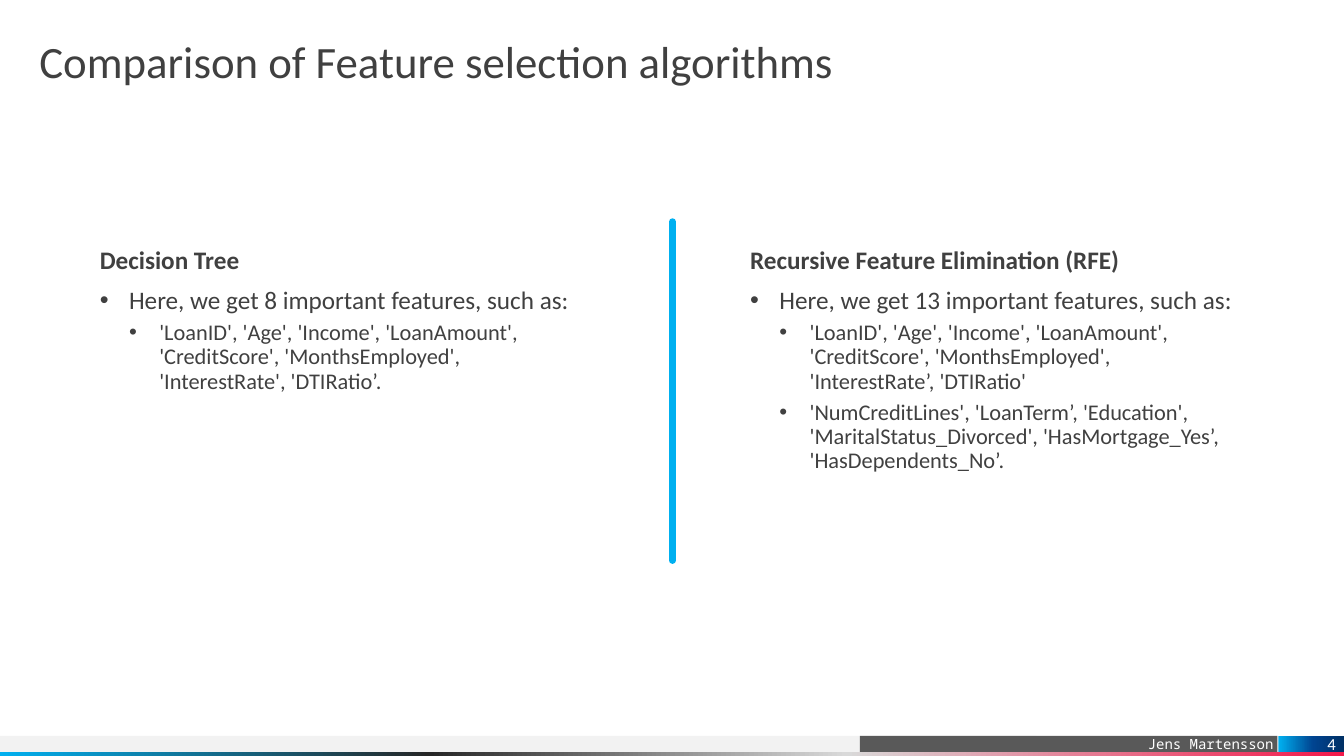
from lxml import etree
from pptx import Presentation
from pptx.dml.color import RGBColor
from pptx.enum import shapes, text
from pptx.oxml import ns
from pptx.util import Inches, Pt

WHITE = RGBColor(0xFF, 0xFF, 0xFF)
INK = RGBColor(0x40, 0x40, 0x40)
PALE = RGBColor(0xF2, 0xF2, 0xF2)
GREY = RGBColor(0x59, 0x59, 0x59)
SILVER = RGBColor(0xD9, 0xD9, 0xD9)
CHARCOAL = RGBColor(0x26, 0x26, 0x26)
PINK = RGBColor(0xF2, 0x19, 0x4A)
SKY = RGBColor(0x00, 0xB0, 0xF0)
BLUE = RGBColor(0x00, 0x44, 0x90)
NAVY = RGBColor(0x00, 0x30, 0x65)

deck = Presentation()
deck.slide_width, deck.slide_height = Inches(13.33), Inches(7.5)
page = deck.slides.add_slide(deck.slide_layouts[6])


def add_bar(left, top, width, height, *stops):
    """Add a footer bar with one colour, or a left-to-right gradient of (percent, colour) stops."""
    bar = page.shapes.add_shape(shapes.MSO_SHAPE.RECTANGLE, Inches(left), Inches(top),
                                Inches(width), Inches(height))
    bar.shadow.inherit = False
    bar.line.fill.background()
    if len(stops) == 1:
        bar.fill.solid()
        bar.fill.fore_color.rgb = stops[0]
        return bar
    bar.fill.gradient()
    bar.fill.gradient_angle = 0
    stop_list = bar.element.spPr.find(".//" + ns.qn("a:gsLst"))
    for stop in list(stop_list):
        stop_list.remove(stop)
    for percent, colour in stops:
        stop = etree.SubElement(stop_list, ns.qn("a:gs"), pos=str(percent * 1000))
        etree.SubElement(stop, ns.qn("a:srgbClr"), val=str(colour))
    return bar


def add_text(left, top, width, height, lines, size, bold=False, bulleted=False):
    """Add a text box; the first bulleted line is the main point, the rest sit one level below."""
    box = page.shapes.add_textbox(Inches(left), Inches(top), Inches(width), Inches(height))
    frame = box.text_frame
    frame.word_wrap = True
    frame.margin_left = frame.margin_top = frame.margin_right = frame.margin_bottom = 0
    frame.text = "\n".join(lines)
    for index, para in enumerate(frame.paragraphs):
        sub = index > 0
        para.line_spacing = 0.9
        para.space_before = Pt(5 if sub else 10)
        if bulleted:
            para.level = int(sub)
            props = para._p.get_or_add_pPr()
            props.set("marL", str(Inches(0.59 if sub else 0.29)))
            props.set("indent", str(Inches(-0.3 if sub else -0.29)))
            etree.SubElement(props, ns.qn("a:buFont"), typeface="Arial")
            etree.SubElement(props, ns.qn("a:buChar"), char="•")
        font = para.runs[0].font
        font.name, font.size, font.bold = "Calibri", Pt(size - 2 * sub), bold
        font.color.rgb = INK


# Footer bars
add_bar(-0.01, 7.3, 10.29, 0.16, PALE)
name_bar = add_bar(8.53, 7.3, 4.14, 0.16, GREY)
add_bar(-0.01, 7.46, 13.34, 0.04, (0, SKY), (32, CHARCOAL), (63, SILVER), (100, PINK))
number_bar = add_bar(12.68, 7.3, 0.65, 0.16, (0, SKY), (53, BLUE), (100, NAVY))

# Footer name and page number
for bar, words, font_name, size, right, anchor in (
    (name_bar, "Jens Martensson", "Noto Sans Mono", 10, 0.04, text.MSO_ANCHOR.BOTTOM),
    (number_bar, "4", "Calibri", 12, 0.08, text.MSO_ANCHOR.MIDDLE),
):
    frame = bar.text_frame
    frame.margin_left = frame.margin_top = frame.margin_bottom = 0
    frame.margin_right = Inches(right)
    frame.vertical_anchor = anchor
    frame.text = words
    para = frame.paragraphs[0]
    para.alignment = text.PP_ALIGN.RIGHT
    font = para.runs[0].font
    font.name, font.size = font_name, Pt(size)
    font.color.rgb = WHITE

# Title
add_text(0.39, 0.39, 12.55, 0.59, ["Comparison of Feature selection algorithms"], 32)

# The two algorithms
columns = (
    (0.99, "Decision Tree", [
        "Here, we get 8 important features, such as:",
        "'LoanID', 'Age', 'Income', 'LoanAmount', 'CreditScore', 'MonthsEmployed', "
        "'InterestRate', 'DTIRatio’."]),
    (7.44, "Recursive Feature Elimination (RFE)", [
        "Here, we get 13 important features, such as:",
        "'LoanID', 'Age', 'Income', 'LoanAmount', 'CreditScore', 'MonthsEmployed', "
        "'InterestRate’, 'DTIRatio'",
        "'NumCreditLines', 'LoanTerm’, 'Education', 'MaritalStatus_Divorced', "
        "'HasMortgage_Yes’, 'HasDependents_No’."]),
)
for left, heading, points in columns:
    add_text(left, 2.46, 4.83, 0.39, [heading], 18, bold=True)
    add_text(left, 2.85, 4.83, 2.31, points, 18, bulleted=True)

# Divider with round ends
divider = page.shapes.add_connector(shapes.MSO_CONNECTOR.STRAIGHT, Inches(6.67), Inches(2.2),
                                    Inches(6.67), Inches(5.56))
divider.line.color.rgb = SKY
divider.line.width = Pt(5)
divider.line._get_or_add_ln().set("cap", "rnd")
etree.SubElement(divider._element.spPr, ns.qn("a:effectLst"))

deck.save("out.pptx")
